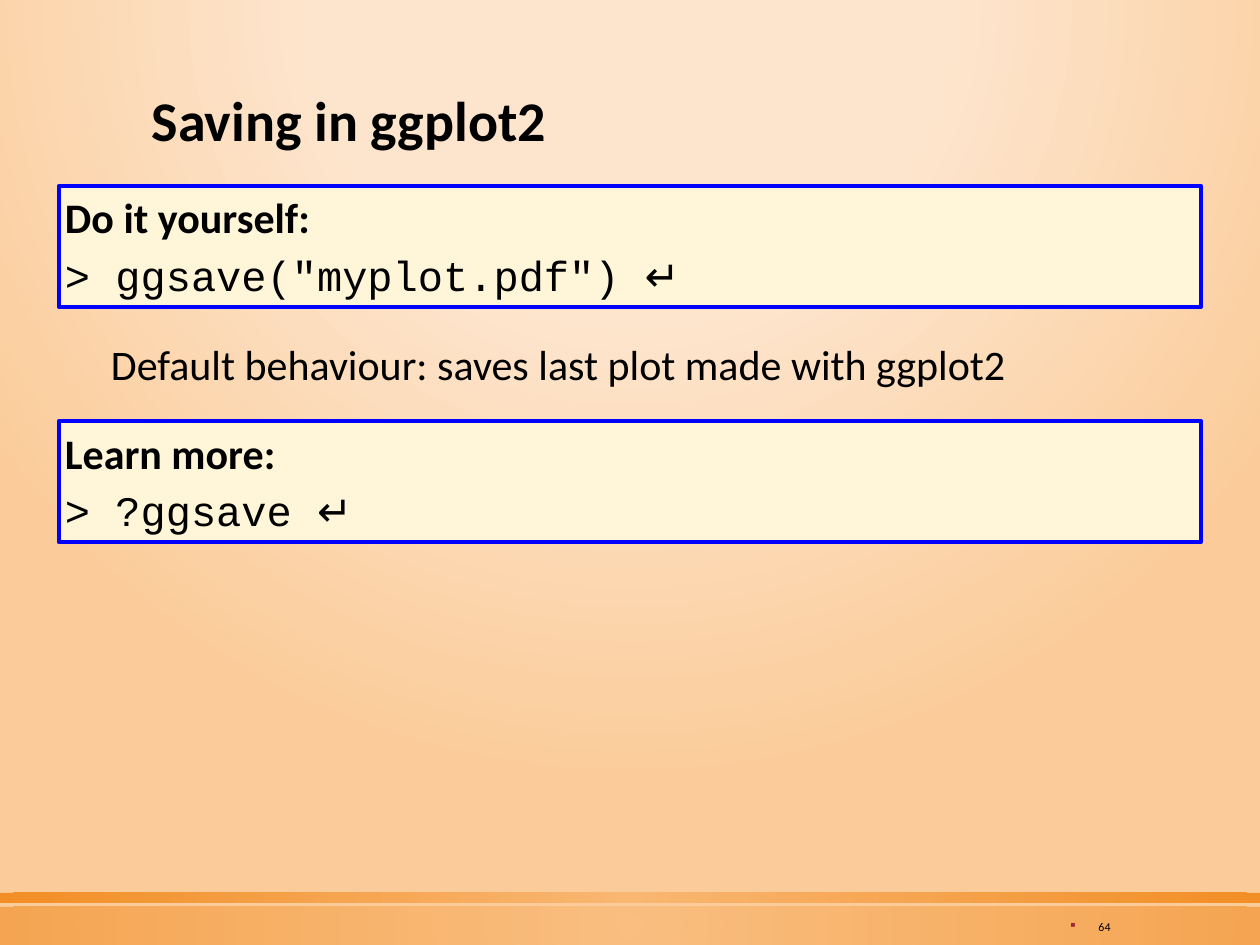
import pptx
import pptx.util
import pptx.dml.color
import pptx.enum.shapes
import pptx.enum.text
import pptx.oxml
import pptx.oxml.ns
import lxml.etree

PIXEL = 914400 // 126
RECTANGLE = pptx.enum.shapes.MSO_SHAPE.RECTANGLE
MIDDLE = pptx.enum.text.MSO_ANCHOR.MIDDLE
GROW = pptx.enum.text.MSO_AUTO_SIZE.SHAPE_TO_FIT_TEXT
qn = pptx.oxml.ns.qn


def radial(fill, element, stops, focus):
    """Give an element a circular gradient; focus is left, top, right, bottom in percent."""
    fill.gradient()
    gradient = next(element.iter(qn("a:gradFill")))
    stop_xml = "".join(
        f'<a:gs pos="{place * 1000}"><a:srgbClr val="{colour}">'
        f'<a:alpha val="{alpha * 1000}"/></a:srgbClr></a:gs>'
        for place, colour, alpha in stops)
    left, top, right, bottom = (side * 1000 for side in focus)
    gradient.getparent().replace(gradient, pptx.oxml.parse_xml(
        f'<a:gradFill {pptx.oxml.ns.nsdecls("a")} rotWithShape="1">'
        f'<a:gsLst>{stop_xml}</a:gsLst><a:path path="circle">'
        f'<a:fillToRect l="{left}" t="{top}" r="{right}" b="{bottom}"/>'
        f'</a:path></a:gradFill>'))


def write(para, text, size, font="Calibri", bold=False, colour="000000"):
    span = para.add_run()
    span.text = text
    span.font.size = pptx.util.Pt(size)
    span.font.name = font
    span.font.bold = bold
    span.font.color.rgb = pptx.dml.color.RGBColor.from_string(colour)


deck = pptx.Presentation()
deck.slide_width = 1260 * PIXEL
deck.slide_height = 945 * PIXEL
page = deck.slides.add_slide(deck.slide_layouts[5])

# Background and footer bands
radial(page.background.fill, page.element,
       [(0, "FDE5CD", 100), (40, "FDE5CD", 100), (100, "FBCC9A", 100)],
       (50, -80, 50, 180))
for top, height, alpha in [(907, 38, 50), (893, 10, 80)]:
    band = page.shapes.add_shape(RECTANGLE, 0, top * PIXEL, deck.slide_width, height * PIXEL)
    band.shadow.inherit = False
    band.line.fill.background()
    radial(band.fill, band.element,
           [(0, "F9B268", alpha), (100, "F07F09", alpha)], (50, 50, 50, 50))

# Title
title = page.shapes.title
title.left, title.top, title.width, title.height = (
    length * PIXEL for length in (139, 64, 983, 118))
title.text_frame.vertical_anchor = MIDDLE
para = title.text_frame.paragraphs[0]
para.alignment = pptx.enum.text.PP_ALIGN.LEFT
para.line_spacing = 0.9
write(para, "Saving in ggplot2", 32, bold=True)

# Slide number with a small square bullet
number = page.shapes.add_textbox(1056 * PIXEL, 910 * PIXEL, 67 * PIXEL, 33 * PIXEL)
number.text_frame.word_wrap = True
number.text_frame.vertical_anchor = MIDDLE
para = number.text_frame.paragraphs[0]
para.alignment = pptx.enum.text.PP_ALIGN.RIGHT
write(para, "64", 6.8)
properties = para._p.get_or_add_pPr()
bullet_colour = lxml.etree.SubElement(properties, qn("a:buClr"))
lxml.etree.SubElement(bullet_colour, qn("a:srgbClr"), val="9F2936")
lxml.etree.SubElement(properties, qn("a:buChar"), char="▪")

# Code boxes
code_boxes = []
for top, heading, command in [(186, "Do it yourself:", '> ggsave("myplot.pdf") '),
                              (421, "Learn more:", "> ?ggsave ")]:
    box = page.shapes.add_shape(RECTANGLE, 59 * PIXEL, top * PIXEL, 1142 * PIXEL, 121 * PIXEL)
    box.shadow.inherit = False
    box.fill.solid()
    box.fill.fore_color.rgb = pptx.dml.color.RGBColor.from_string("FFF6D9")
    box.line.color.rgb = pptx.dml.color.RGBColor.from_string("0000FF")
    box.line.width = pptx.util.Pt(2.5)
    lxml.etree.SubElement(next(box.element.iter(qn("a:ln"))), qn("a:round"))
    para = box.text_frame.paragraphs[0]
    para.space_before = pptx.util.Pt(12)
    write(para, heading, 24, bold=True)
    para = box.text_frame.add_paragraph()
    para.space_before = pptx.util.Pt(4)
    write(para, command, 24, "Courier New")
    write(para, "↵", 24)
    code_boxes.append(box)

# Explanation between the boxes
note = page.shapes.add_textbox(105 * PIXEL, 333 * PIXEL, 1024 * PIXEL, 63 * PIXEL)
para = note.text_frame.paragraphs[0]
para.space_before = pptx.util.Pt(5)
write(para, "Default behaviour: saves last plot made with ggplot2", 24)

# Shared text frame settings
for box in [*code_boxes, note]:
    frame = box.text_frame
    frame.word_wrap = True
    frame.auto_size = GROW
    frame.vertical_anchor = pptx.enum.text.MSO_ANCHOR.TOP
    frame.margin_left = frame.margin_top = frame.margin_right = frame.margin_bottom = 6 * PIXEL
    for para in frame.paragraphs:
        para.alignment = pptx.enum.text.PP_ALIGN.LEFT

deck.save("out.pptx")
